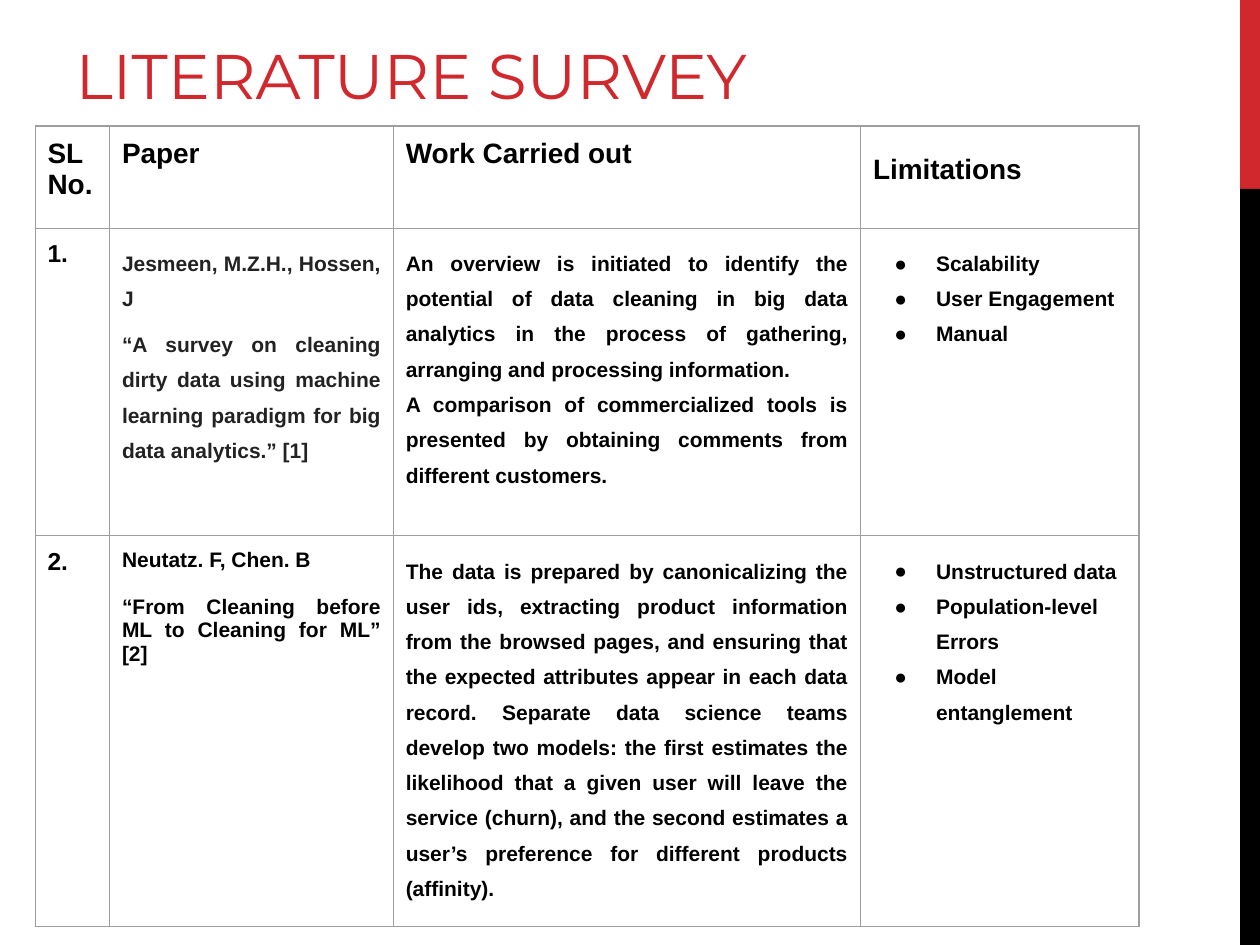
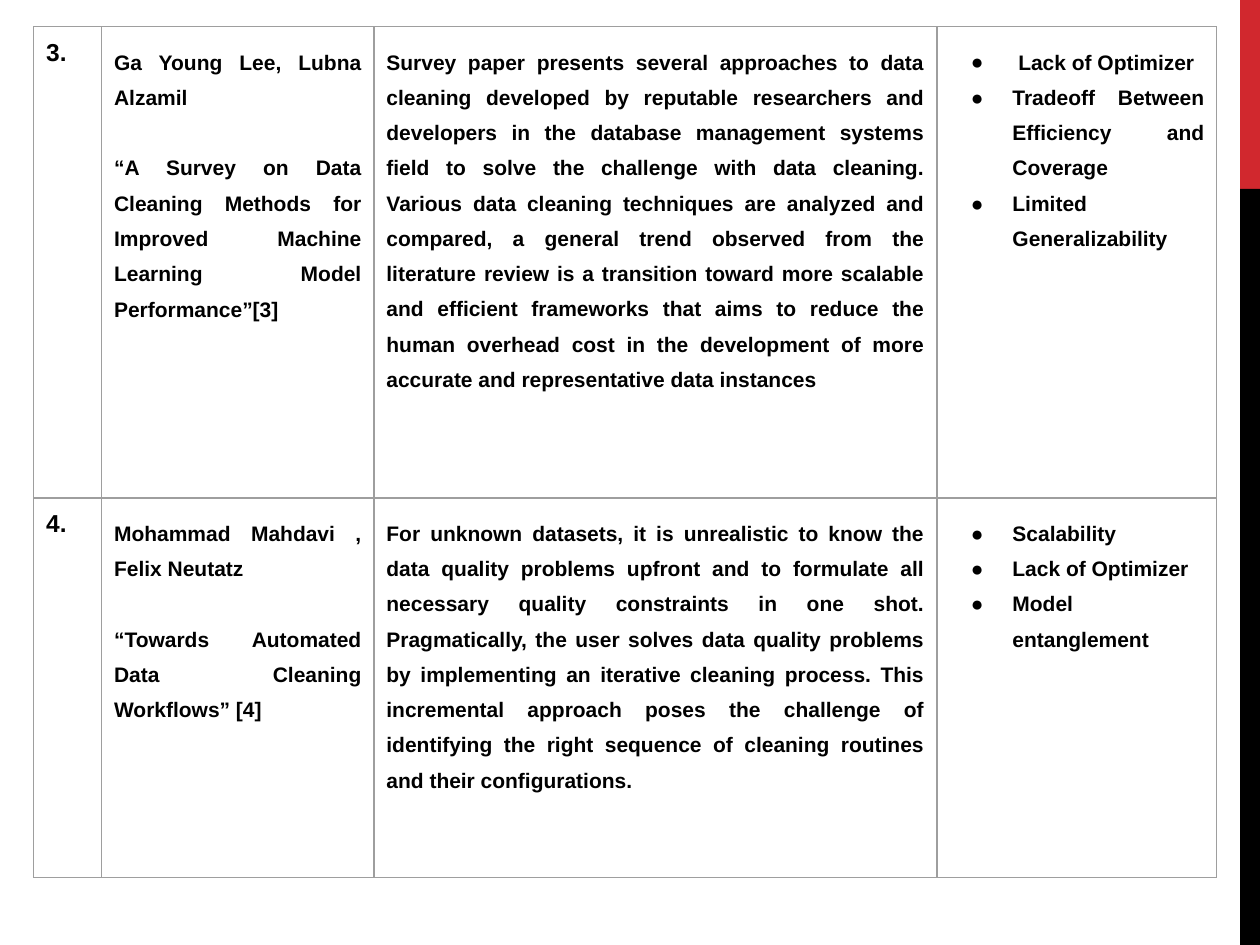
import lxml.etree
import pptx
import pptx.dml.color
import pptx.enum.shapes
import pptx.enum.text
import pptx.oxml.ns
import pptx.util

Cm = pptx.util.Cm
Pt = pptx.util.Pt
RGBColor = pptx.dml.color.RGBColor
PP_ALIGN = pptx.enum.text.PP_ALIGN
qn = pptx.oxml.ns.qn

RED = RGBColor(0xD1, 0x28, 0x2E)
BLACK = RGBColor(0, 0, 0)
CHARCOAL = RGBColor(0x22, 0x22, 0x22)
GRID_GREY = RGBColor(0x9E, 0x9E, 0x9E)

HEADER = dict(size=16)
NUMBER = dict(size=14, align=PP_ALIGN.JUSTIFY)
COMPACT = dict(size=12, align=PP_ALIGN.JUSTIFY)
BODY = dict(COMPACT, spacing=1.5)
BULLET = dict(BODY, bullet=True)
CITED = dict(BODY, color=CHARCOAL)

HEADINGS = [
    [("SL No.", HEADER)],
    [("Paper", HEADER)],
    [("Work Carried out", HEADER)],
    [("Limitations", dict(HEADER, spacing=1.5))],
]


def write_text(frame, text, size, font="Arial", color=BLACK, bold=True,
               align=PP_ALIGN.LEFT, spacing=1.0, before=0, after=0, bullet=False):
    paragraph = frame.paragraphs[0] if not frame.text else frame.add_paragraph()
    paragraph.alignment = align
    paragraph.line_spacing = spacing
    paragraph.space_before = Pt(before)
    paragraph.space_after = Pt(after)
    run = paragraph.add_run()
    run.text = text
    run.font.name = font
    run.font.size = Pt(size)
    run.font.bold = bold
    run.font.color.rgb = color
    if bullet:
        add_bullet(paragraph)


def add_bullet(paragraph):
    properties = paragraph._p.get_or_add_pPr()
    properties.set("marL", str(Cm(1.27)))
    properties.set("indent", str(-Cm(0.84)))
    bullet_color = lxml.etree.SubElement(properties, qn("a:buClr"))
    lxml.etree.SubElement(bullet_color, qn("a:srgbClr"), val=str(BLACK))
    lxml.etree.SubElement(properties, qn("a:buFont"), typeface="Arial")
    lxml.etree.SubElement(properties, qn("a:buChar"), char="●")


def add_borders(cell):
    properties = cell._tc.get_or_add_tcPr()
    for side in ("lnL", "lnR", "lnT", "lnB"):
        line = lxml.etree.SubElement(properties, qn(f"a:{side}"), w=str(Pt(0.75)))
        fill = lxml.etree.SubElement(line, qn("a:solidFill"))
        lxml.etree.SubElement(fill, qn("a:srgbClr"), val=str(GRID_GREY))


def fill_cell(cell, paragraphs):
    cell.margin_left = cell.margin_right = Cm(0.25)
    cell.margin_top = cell.margin_bottom = Cm(0.25)
    add_borders(cell)
    cell.fill.background()
    for text, text_format in paragraphs:
        write_text(cell.text_frame, text, **text_format)


def add_survey_table(slide, left, top, widths, heights, rows):
    table = slide.shapes.add_table(
        len(rows), len(widths), Cm(left), Cm(top),
        Cm(sum(widths)), Cm(sum(heights))).table
    table.first_row = False
    table.horz_banding = False
    for column, width in zip(table.columns, widths):
        column.width = Cm(width)
    for row, height, entries in zip(table.rows, heights, rows):
        row.height = Cm(height)
        for cell, paragraphs in zip(row.cells, entries):
            fill_cell(cell, paragraphs)


def survey_row(number, paper, work, limitations):
    return [
        [(number, NUMBER)],
        paper,
        [(text, BODY) for text in work],
        [(text, BULLET) for text in limitations],
    ]


def add_band(slide, top, height, color):
    band = slide.shapes.add_shape(
        pptx.enum.shapes.MSO_SHAPE.RECTANGLE, Cm(25), Cm(top), Cm(0.4), Cm(height))
    band.shadow.inherit = False
    band.fill.solid()
    band.fill.fore_color.rgb = color
    band.line.fill.background()


def add_survey_slide(deck, layout_index):
    slide = deck.slides.add_slide(deck.slide_layouts[layout_index])
    add_band(slide, 0, 3.81, RED)
    add_band(slide, 3.81, 15.24, BLACK)
    return slide


def set_title(slide, text):
    title = slide.shapes.title
    title.left, title.top = Cm(1.27), Cm(0.43)
    title.width, title.height = Cm(16.08), Cm(1.96)
    frame = title.text_frame
    frame.auto_size = pptx.enum.text.MSO_AUTO_SIZE.NONE
    frame.vertical_anchor = pptx.enum.text.MSO_ANCHOR.BOTTOM
    write_text(frame, text, size=36, font="Montserrat", color=RED, bold=False)


def main():
    deck = pptx.Presentation()
    deck.slide_width, deck.slide_height = Cm(25.4), Cm(19.05)

    opening = add_survey_slide(deck, 5)
    set_title(opening, "LITERATURE SURVEY")
    add_survey_table(
        opening, 0.71, 2.54, [1.5, 5.72, 9.42, 5.61], [2.06, 6.2, 7.87], [
            HEADINGS,
            survey_row(
                "1.",
                [("Jesmeen, M.Z.H., Hossen, J", dict(CITED, before=3.6)),
                 ("“A survey on cleaning dirty data using machine learning "
                  "paradigm for big data analytics.” [1]",
                  dict(CITED, before=6, after=6))],
                ["An overview is initiated to identify the potential of data "
                 "cleaning in big data analytics in the process of gathering, "
                 "arranging and processing information.",
                 "A comparison of commercialized tools is presented by obtaining "
                 "comments from different customers."],
                ["Scalability", "User Engagement", "Manual"]),
            survey_row(
                "2.",
                [("Neutatz. F, Chen. B", COMPACT),
                 ("“From Cleaning before ML to Cleaning for ML” [2]",
                  dict(COMPACT, before=13.4))],
                ["The data is prepared by canonicalizing the user ids, extracting "
                 "product information from the browsed pages, and ensuring that "
                 "the expected attributes appear in each data record. Separate "
                 "data science teams develop two models: the first estimates the "
                 "likelihood that a given user will leave the service (churn), and "
                 "the second estimates a user’s preference for different products "
                 "(affinity)."],
                ["Unstructured data", "Population-level Errors",
                 "Model entanglement"]),
        ])

    continuation = add_survey_slide(deck, 6)
    spaced_title = dict(BODY, before=20.2)
    add_survey_table(
        continuation, 0.68, 0.54, [1.37, 5.49, 11.35, 5.64], [9.5, 7.65], [
            survey_row(
                "3.",
                [("Ga Young Lee, Lubna Alzamil", BODY),
                 ("“A Survey on Data Cleaning Methods for Improved Machine "
                  "Learning Model Performance”[3]", spaced_title)],
                ["Survey paper presents several approaches to data cleaning "
                 "developed by reputable researchers and developers in the "
                 "database management systems field to solve the challenge with "
                 "data cleaning. Various data cleaning techniques are analyzed and "
                 "compared, a general trend observed from the literature review is "
                 "a transition toward more scalable and efficient frameworks that "
                 "aims to reduce the human overhead cost in the development of "
                 "more accurate and representative data instances"],
                [" Lack of Optimizer", "Tradeoff Between Efficiency and Coverage",
                 "Limited Generalizability"]),
            survey_row(
                "4.",
                [("Mohammad Mahdavi , Felix Neutatz", BODY),
                 ("“Towards Automated Data Cleaning Workflows” [4]",
                  spaced_title)],
                ["For unknown datasets, it is unrealistic to know the data quality "
                 "problems upfront and to formulate all necessary quality "
                 "constraints in one shot. Pragmatically, the user solves data "
                 "quality problems by implementing an iterative cleaning process. "
                 "This incremental approach poses the challenge of identifying the "
                 "right sequence of cleaning routines and their configurations."],
                ["Scalability", "Lack of Optimizer", "Model entanglement"]),
        ])

    deck.save("out.pptx")


if __name__ == "__main__":
    main()
